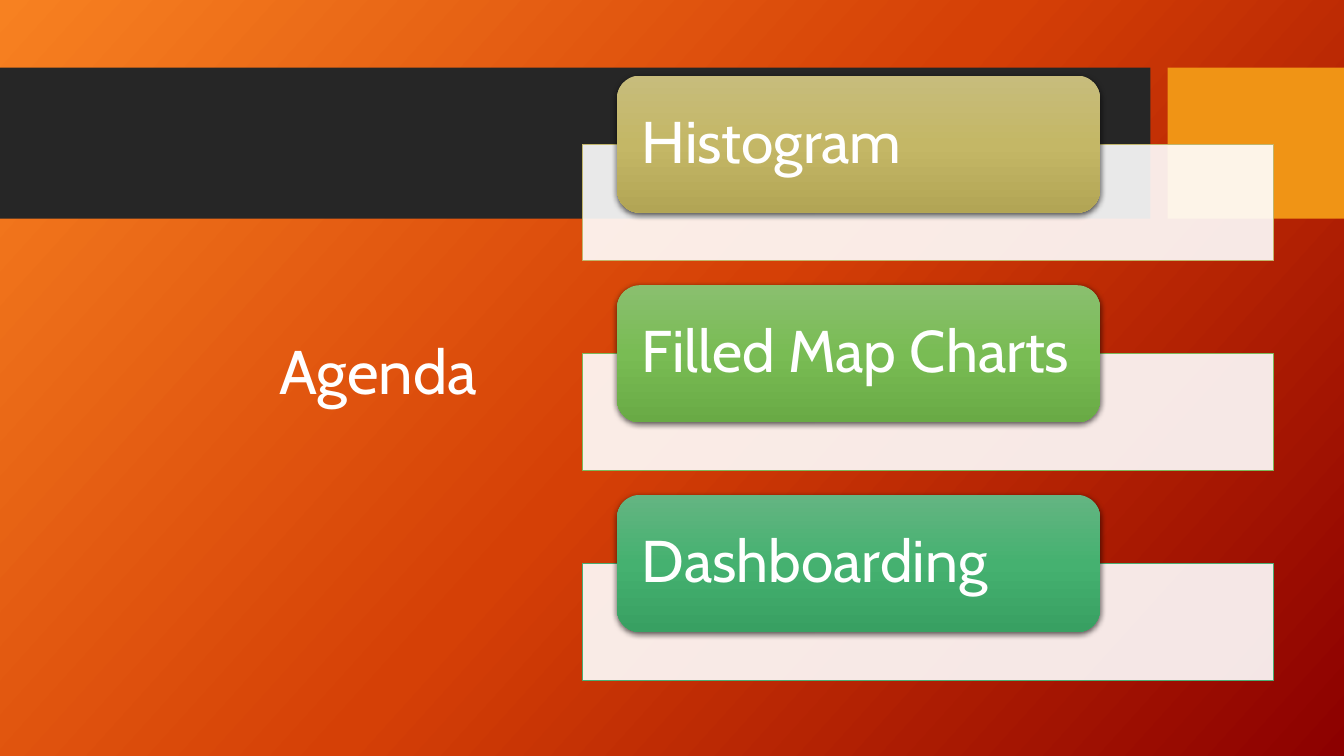
from copy import deepcopy

from lxml import etree
from pptx import Presentation
from pptx.dml.color import RGBColor
from pptx.enum.shapes import MSO_SHAPE
from pptx.enum.text import MSO_ANCHOR, PP_ALIGN
from pptx.oxml import parse_xml
from pptx.oxml.ns import nsdecls, qn
from pptx.util import Inches, Pt

RECTANGLE, ROUNDED = MSO_SHAPE.RECTANGLE, MSO_SHAPE.ROUNDED_RECTANGLE
MIDDLE = MSO_ANCHOR.MIDDLE
LEFT, RIGHT = PP_ALIGN.LEFT, PP_ALIGN.RIGHT

WHITE = RGBColor(0xFF, 0xFF, 0xFF)
CHARCOAL = RGBColor(0x26, 0x26, 0x26)
AMBER = RGBColor(0xF0, 0x94, 0x15)
BACKGROUND = (RGBColor(0xF7, 0x81, 0x21), RGBColor(0xD5, 0x40, 0x06), RGBColor(0x8C, 0x00, 0x00))
GOLD = RGBColor(0xC1, 0xB5, 0x6B)
GOLD_SHADES = (RGBColor(0xC7, 0xBC, 0x7C), RGBColor(0xC4, 0xB7, 0x66), RGBColor(0xB2, 0xA5, 0x55))
GREEN = RGBColor(0x7C, 0xB8, 0x59)
GREEN_SHADES = (RGBColor(0x8A, 0xBF, 0x6F), RGBColor(0x79, 0xBC, 0x54), RGBColor(0x69, 0xAA, 0x45))
JADE = RGBColor(0x4B, 0xAD, 0x72)
JADE_SHADES = (RGBColor(0x64, 0xB5, 0x82), RGBColor(0x45, 0xB1, 0x70), RGBColor(0x38, 0xA0, 0x62))

TOPICS = [
    ("Histogram", GOLD, GOLD_SHADES),
    ("Filled Map Charts", GREEN, GREEN_SHADES),
    ("Dashboarding", JADE, JADE_SHADES),
]
FIRST_CARD_TOP = 0.75
TOPIC_PITCH = 2.08
PANEL_OFFSET = 0.68

CARD_SHADOW = f"""<a:effectLst {nsdecls('a')}>
  <a:outerShdw blurRad="{Pt(4.5)}" dist="{Pt(1.5)}" dir="5400000" algn="ctr" rotWithShape="0">
    <a:srgbClr val="000000"><a:alpha val="63000"/></a:srgbClr>
  </a:outerShdw>
</a:effectLst>"""


def set_gradient(fill, owner, colors, angle):
    """Fill with three evenly spaced colours, the angle measured clockwise."""
    fill.gradient()
    stop_list = next(owner.iter(qn("a:gsLst")))
    stop_list.insert(1, deepcopy(stop_list[0]))
    for index, (stop, color) in enumerate(zip(fill.gradient_stops, colors)):
        stop.position = index / 2
        stop.color.rgb = color
    fill.gradient_angle = 360 - angle


def write_text(shape, text, size, font="Cabin", color=WHITE, align=LEFT, side=0.1, edge=0.05):
    frame = shape.text_frame
    frame.word_wrap = True
    frame.vertical_anchor = MIDDLE
    frame.margin_left = frame.margin_right = Inches(side)
    frame.margin_top = frame.margin_bottom = Inches(edge)
    paragraph = frame.paragraphs[0]
    paragraph.alignment = align
    paragraph.line_spacing = 0.9
    run = paragraph.add_run()
    run.text = text
    run.font.name = font
    run.font.size = Pt(size)
    run.font.color.rgb = color


class AgendaSlide:
    """Draws the elements of the agenda in one style."""

    def __init__(self, slide):
        self.slide = slide
        self.title_size = 44
        self.card_size = 42

    def background(self, colors):
        set_gradient(self.slide.background.fill, self.slide.element, colors, 42)

    def shape(self, kind, left, top, width, height):
        shape = self.slide.shapes.add_shape(
            kind, Inches(left), Inches(top), Inches(width), Inches(height))
        shape.shadow.inherit = False
        shape.line.fill.background()
        return shape

    def block(self, left, width, color):
        block = self.shape(RECTANGLE, left, 0.67, width, 1.5)
        block.fill.solid()
        block.fill.fore_color.rgb = color

    def title(self, text):
        box = self.slide.shapes.add_textbox(
            Inches(0.74), Inches(2.26), Inches(4.09), Inches(2.91))
        write_text(box, text, self.title_size, align=RIGHT)

    def panel(self, top, border):
        panel = self.shape(RECTANGLE, 5.78, top, 6.85, 1.16)
        panel.fill.solid()
        panel.fill.fore_color.rgb = WHITE
        fill_color = next(panel.element.spPr.iter(qn("a:srgbClr")))
        etree.SubElement(fill_color, qn("a:alpha")).set("val", "90000")
        panel.line.color.rgb = border
        panel.line.width = Pt(0.75)

    def card(self, top, text, shades):
        card = self.shape(ROUNDED, 6.12, top, 4.79, 1.36)
        card.adjustments[0] = 0.167
        properties = card.element.spPr
        set_gradient(card.fill, properties, shades, 90)
        properties.replace(properties.find(qn("a:effectLst")), parse_xml(CARD_SHADOW))
        write_text(card, text, self.card_size, side=0.18, edge=0)


def main():
    presentation = Presentation()
    presentation.slide_width = Inches(13.33)
    presentation.slide_height = Inches(7.5)
    agenda = AgendaSlide(presentation.slides.add_slide(presentation.slide_layouts[6]))

    agenda.background(BACKGROUND)
    agenda.block(0, 11.41, CHARCOAL)
    agenda.block(11.58, 1.75, AMBER)
    agenda.title("Agenda")
    for index, (topic, border, shades) in enumerate(TOPICS):
        top = FIRST_CARD_TOP + index * TOPIC_PITCH
        agenda.panel(top + PANEL_OFFSET, border)
        agenda.card(top, topic, shades)

    presentation.save("out.pptx")


if __name__ == "__main__":
    main()
